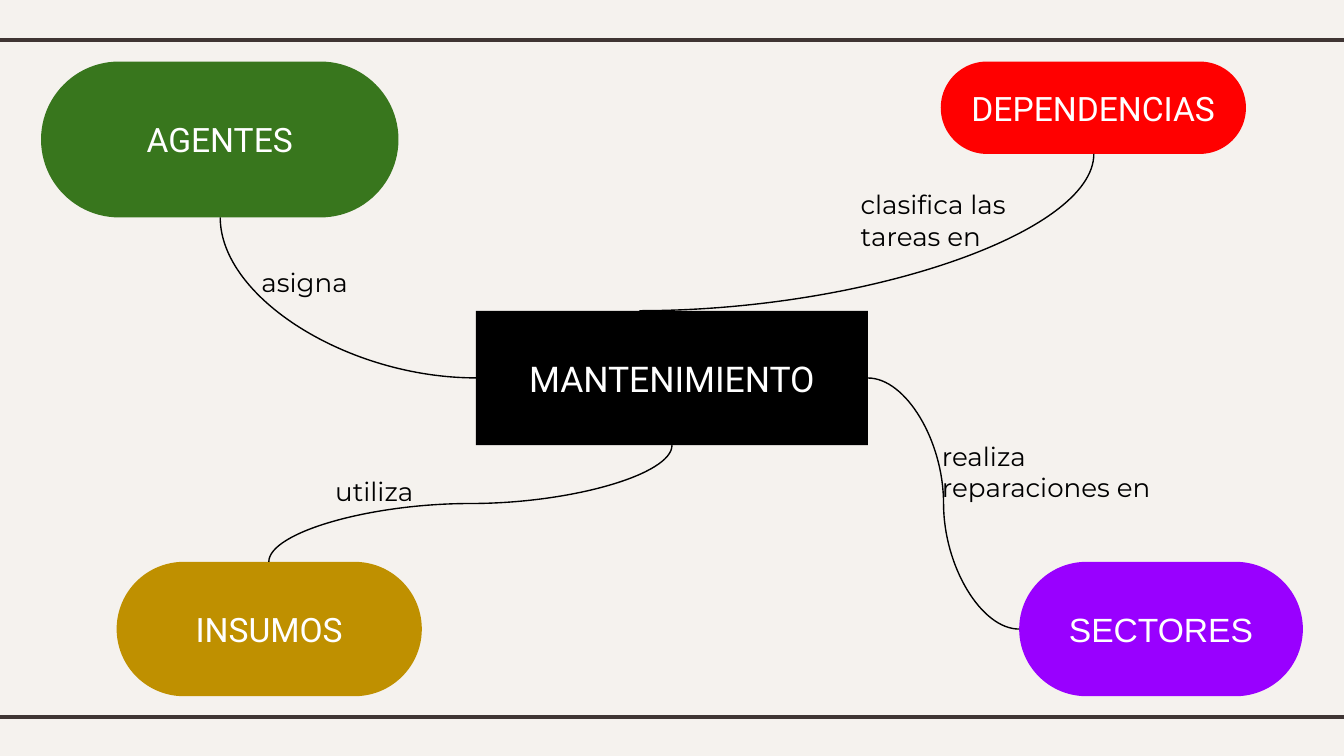
from typing import NamedTuple

from lxml.etree import SubElement
from pptx import Presentation
from pptx.dml.color import RGBColor as RGB
from pptx.enum.shapes import MSO_CONNECTOR as Link, MSO_SHAPE as Form
from pptx.enum.text import MSO_ANCHOR as Anchor, MSO_AUTO_SIZE as Fit, PP_ALIGN as Align
from pptx.oxml.ns import qn
from pptx.util import Pt

HUES = {
    "paper": "F5F2EE", "rule": "3F3533", "black": "000000", "white": "FFFFFF",
    "green": "38761D", "violet": "9900FF", "red": "FF0000", "gold": "BF9000",
}


class Node(NamedTuple):
    text: str
    box: tuple[float, float, float, float]
    hue: str
    size: float = 18
    font: str = "Roboto"
    bend: float = 0.5


class Curve(NamedTuple):
    start: tuple[float, float]
    end: tuple[float, float]
    kind: str
    upright: bool = False  # leaves its start vertically


class Label(NamedTuple):
    text: str
    box: tuple[float, float, float, float]


NODES = [
    Node("MANTENIMIENTO", (255, 166.5, 210, 72), "black", size=19, bend=0),
    Node("AGENTES", (22, 33, 191.5, 83.5), "green"),
    Node("SECTORES", (546, 301, 152, 72), "violet", font="Arial"),
    Node("DEPENDENCIAS", (504, 33, 163.5, 49.5), "red"),
    Node("INSUMOS", (62.5, 301, 163.5, 72), "gold"),
]
CURVES = [
    Curve((255, 202.5), (118, 116.5), "curvedConnector2"),
    Curve((342.5, 166.5), (586, 82.5), "curvedConnector2"),
    Curve((465, 202.5), (546, 337), "curvedConnector3"),
    Curve((360, 238.5), (144, 301), "curvedConnector3", upright=True),
]
LABELS = [
    Label("utiliza", (172.5, 247.5, 62, 31.5)),
    Label("realiza\nreparaciones en", (497.5, 228.5, 176.5, 48)),
    Label("clasifica las\ntareas en", (454, 94, 185, 48)),
    Label("asigna", (133, 135.5, 75, 31.5)),
]

deck = Presentation()
deck.slide_width, deck.slide_height = Pt(720), Pt(405)
slide = deck.slides.add_slide(deck.slide_layouts[6])
shapes = slide.shapes


def tint(hue: str) -> RGB:
    return RGB.from_string(HUES[hue])


def write(shape, text: str, font: str, size: float, hue: str, align: Align) -> None:
    frame = shape.text_frame
    frame.text = text
    frame.word_wrap = True
    frame.margin_left = frame.margin_right = Pt(7.2)
    frame.margin_top = frame.margin_bottom = Pt(7.2)
    for para in frame.paragraphs:
        para.alignment = align
        for run in para.runs:
            run.font.name, run.font.size = font, Pt(size)
            run.font.color.rgb = tint(hue)


def draw_line(kind: Link, start: tuple, end: tuple, hue: str, width: float):
    line = shapes.add_connector(kind, *map(Pt, start + end))
    line.line.color.rgb, line.line.width = tint(hue), Pt(width)
    SubElement(line._element.spPr, qn("a:effectLst"))
    return line


def draw_node(node: Node) -> None:
    shape = shapes.add_shape(Form.ROUNDED_RECTANGLE, *map(Pt, node.box))
    shape.adjustments[0] = node.bend
    shape.shadow.inherit = False
    shape.fill.solid()
    shape.fill.fore_color.rgb = tint(node.hue)
    shape.line.fill.background()
    write(shape, node.text, node.font, node.size, "white", Align.CENTER)
    shape.text_frame.vertical_anchor = Anchor.MIDDLE


def draw_curve(curve: Curve) -> None:
    start, end = curve.start, curve.end
    if curve.upright:
        # Swap width and height about the centre, then turn a quarter
        (x1, y1), (x2, y2) = start, end
        cx, cy = (x1 + x2) / 2, (y1 + y2) / 2
        dx, dy = abs(y2 - y1) / 2, abs(x2 - x1) / 2
        start, end = (cx - dx, cy - dy), (cx + dx, cy + dy)
    line = draw_line(Link.CURVE, start, end, "black", 0.75)
    props = line._element.spPr
    props.find(qn("a:prstGeom")).set("prst", curve.kind)
    if curve.upright:
        props.find(qn("a:xfrm")).set("rot", str(90 * 60000))


def draw_label(label: Label) -> None:
    box = shapes.add_textbox(*map(Pt, label.box))
    write(box, label.text, "Montserrat", 14, "black", Align.LEFT)
    box.text_frame.auto_size = Fit.SHAPE_TO_FIT_TEXT


# Background and rules
slide.background.fill.solid()
slide.background.fill.fore_color.rgb = tint("paper")
for y in (384, 21.5):
    draw_line(Link.STRAIGHT, (-6, y), (726, y), "rule", 2.25)

# Concept map
for node in NODES:
    draw_node(node)
for curve in CURVES:
    draw_curve(curve)
for label in LABELS:
    draw_label(label)

deck.save("out.pptx")
